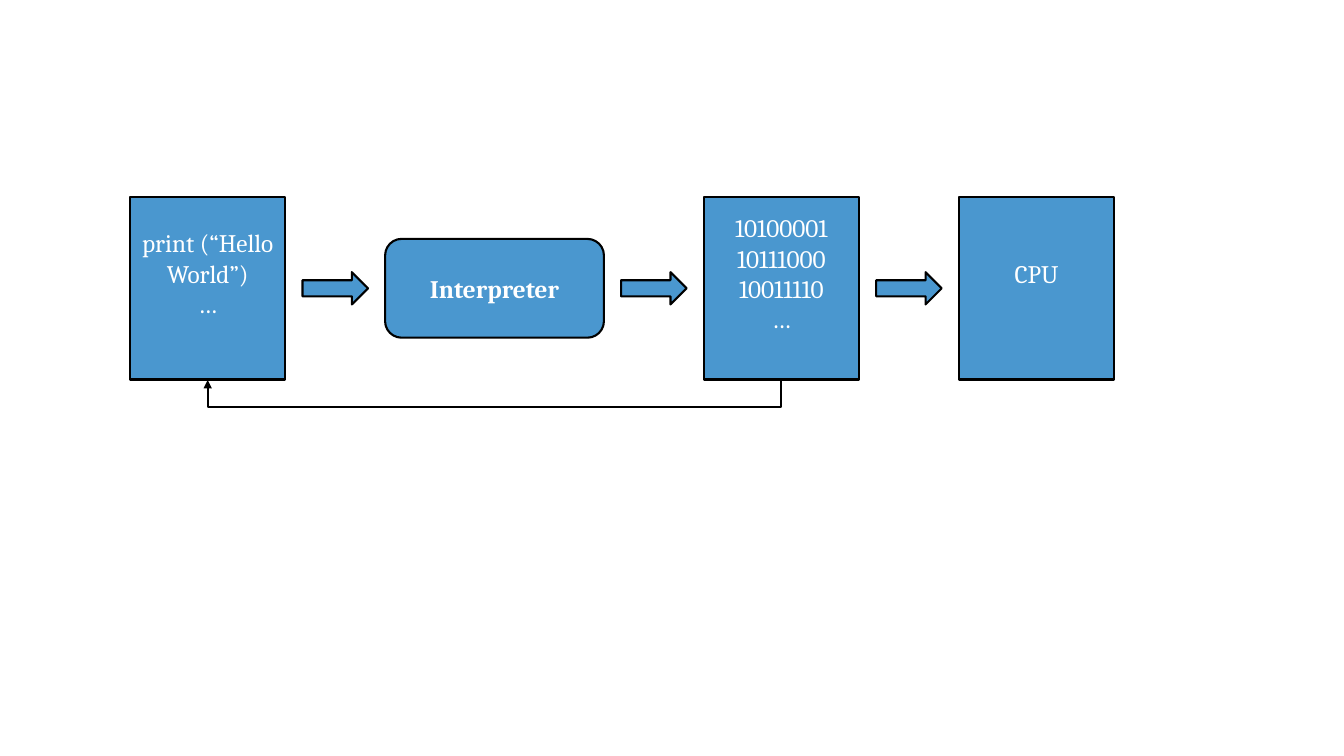
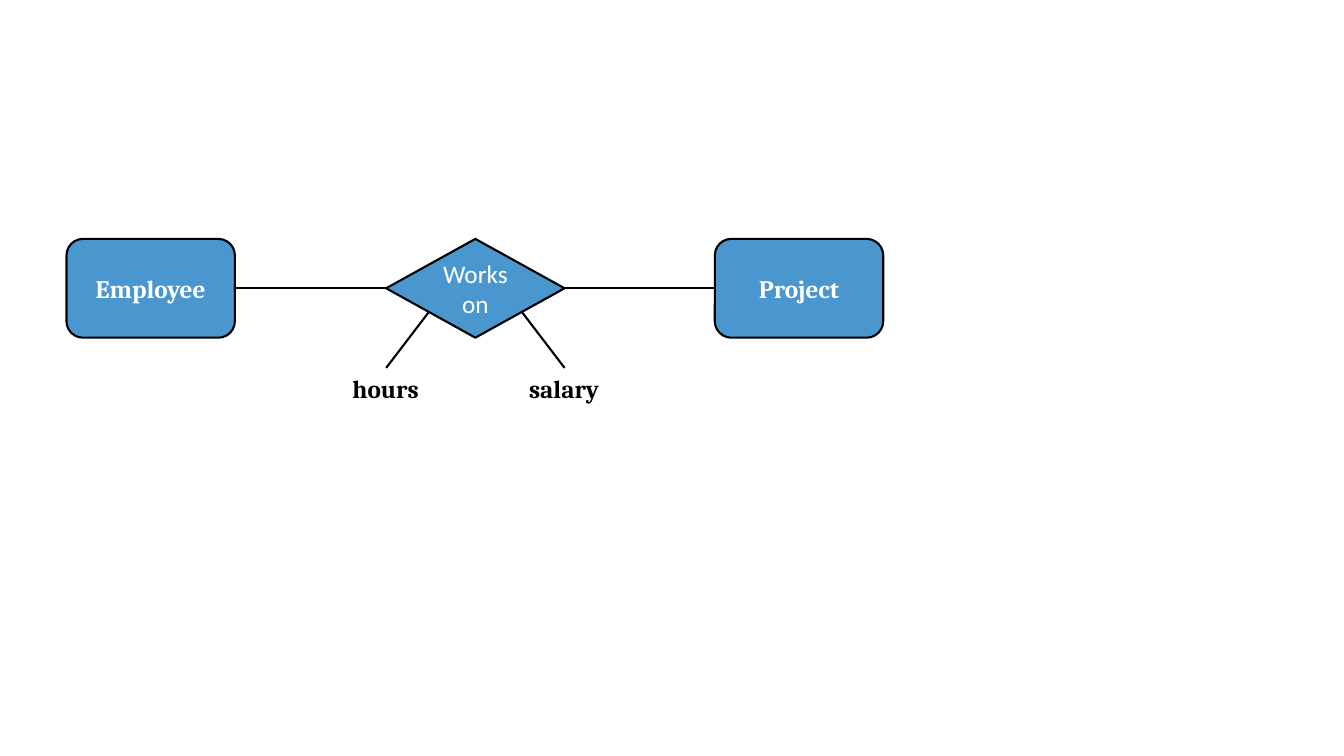
import pptx
import pptx.dml.color
import pptx.enum.shapes
import pptx.enum.text
import pptx.oxml
import pptx.oxml.ns
import pptx.util

SHAPE = pptx.enum.shapes.MSO_SHAPE
CONNECTOR = pptx.enum.shapes.MSO_CONNECTOR
BLUE = pptx.dml.color.RGBColor(0x4A, 0x97, 0xCF)
BLACK = pptx.dml.color.RGBColor(0, 0, 0)
WHITE = pptx.dml.color.RGBColor(255, 255, 255)

PX = 9144  # 100 px to the inch
LINE_WIDTH = pptx.util.Pt(1.5)
INSET = 5
TEXT_LINE = 30
MIDDLE = 286  # the height on which both diagrams are centred


def add_box(page, left, top, width, height, lines=(), kind=None, font="Cambria",
            bold=False, color=WHITE, bottom_inset=INSET):
    """Add a blue shape of the given kind, or a plain text box without one."""
    frame = [round(length * PX) for length in (left, top, width, height)]
    if kind is None:
        box = page.shapes.add_textbox(*frame)
    else:
        box = page.shapes.add_shape(kind, *frame)
        box.shadow.inherit = False
        box.fill.solid()
        box.fill.fore_color.rgb = BLUE
        box.line.color.rgb = BLACK
        box.line.width = LINE_WIDTH
    text = box.text_frame
    text.word_wrap = True
    text.vertical_anchor = pptx.enum.text.MSO_ANCHOR.MIDDLE
    text.margin_bottom = bottom_inset * PX
    for index, line in enumerate(lines):
        para = text.add_paragraph() if index else text.paragraphs[0]
        para.alignment = pptx.enum.text.PP_ALIGN.CENTER
        span = para.add_run()
        span.text = line
        span.font.name = font
        span.font.size = pptx.util.Pt(18)
        span.font.bold = bold
        span.font.color.rgb = color
    return box


def add_line(page, kind, *ends):
    line = page.shapes.add_connector(kind, *[round(end * PX) for end in ends])
    line.line.color.rgb = BLACK
    line.line.width = LINE_WIDTH
    line._element.spPr.append(pptx.oxml.parse_xml(
        f"<a:effectLst {pptx.oxml.ns.nsdecls('a')}/>"))
    return line


deck = pptx.Presentation()
deck.slide_width = 1333 * PX
deck.slide_height = 750 * PX
blank = deck.slide_layouts[6]

# Slide 1: from source code to the processor
page = deck.slides.add_slide(blank)
STEPS = [
    (154, 181, SHAPE.RECTANGLE, ["print (“Hello World”)", "…"]),
    (217, 98, SHAPE.ROUNDED_RECTANGLE, ["Interpreter"]),
    (154, 181, SHAPE.RECTANGLE, ["10100001", "10111000", "10011110", "…"]),
    (154, 181, SHAPE.RECTANGLE, ["CPU"]),
]
ARROW_WIDTH, ARROW_HEIGHT, GAP = 65, 32, 17
left = 129
centers = []
for index, (width, height, kind, lines) in enumerate(STEPS):
    if index:
        add_box(page, left + GAP, MIDDLE - ARROW_HEIGHT / 2, ARROW_WIDTH,
                ARROW_HEIGHT, kind=SHAPE.RIGHT_ARROW)
        left += ARROW_WIDTH + 2 * GAP
    rounded = kind == SHAPE.ROUNDED_RECTANGLE
    add_box(page, left, MIDDLE - height / 2, width, height, lines, kind, bold=rounded,
            bottom_inset=INSET if rounded else INSET + TEXT_LINE)
    centers.append(left + width / 2)
    left += width

# The return path is an elbow turned by 90 degrees, 2 px thick before its bend
source_x, binary_x = centers[0], centers[2]
center_x, bottom = (source_x + binary_x) / 2, 376
half_span = (binary_x - source_x) / 2
elbow = add_line(page, CONNECTOR.ELBOW, center_x - 1, bottom - half_span,
                 center_x + 1, bottom + half_span)
properties = elbow._element.spPr
properties.find(pptx.oxml.ns.qn("a:xfrm")).set("rot", "5400000")
guides = properties.find(pptx.oxml.ns.qn("a:prstGeom")).find(pptx.oxml.ns.qn("a:avLst"))
guides.append(pptx.oxml.parse_xml(
    f'<a:gd {pptx.oxml.ns.nsdecls("a")} name="adj1" fmla="val 1450000"/>'))
properties.find(pptx.oxml.ns.qn("a:ln")).append(pptx.oxml.parse_xml(
    f'<a:tailEnd {pptx.oxml.ns.nsdecls("a")} type="triangle"/>'))

# Slide 2: entities and their relationship
page = deck.slides.add_slide(blank)
HEIGHT = 98
top = MIDDLE - HEIGHT / 2
employee, project = [
    add_box(page, left, top, 167, HEIGHT, [name], SHAPE.ROUNDED_RECTANGLE, bold=True)
    for left, name in ((66, "Employee"), (709, "Project"))
]
relation = add_box(page, 383, top, 177, HEIGHT, ["Works on"], SHAPE.DIAMOND,
                   font="Calibri")
LEFT_SITE, RIGHT_SITE = 1, 3
for start, end in ((employee, relation), (relation, project)):
    line = add_line(page, CONNECTOR.STRAIGHT, 0, 0, 0, 0)
    line.begin_connect(start, RIGHT_SITE)
    line.end_connect(end, LEFT_SITE)
for edge_x, label_x, name in ((425, 383, "hours"), (518, 560, "salary")):
    add_line(page, CONNECTOR.STRAIGHT, edge_x, 310, label_x, 365)
    add_box(page, label_x - 109, 365, 217, 40, [name], bold=True, color=BLACK)

deck.save("out.pptx")
